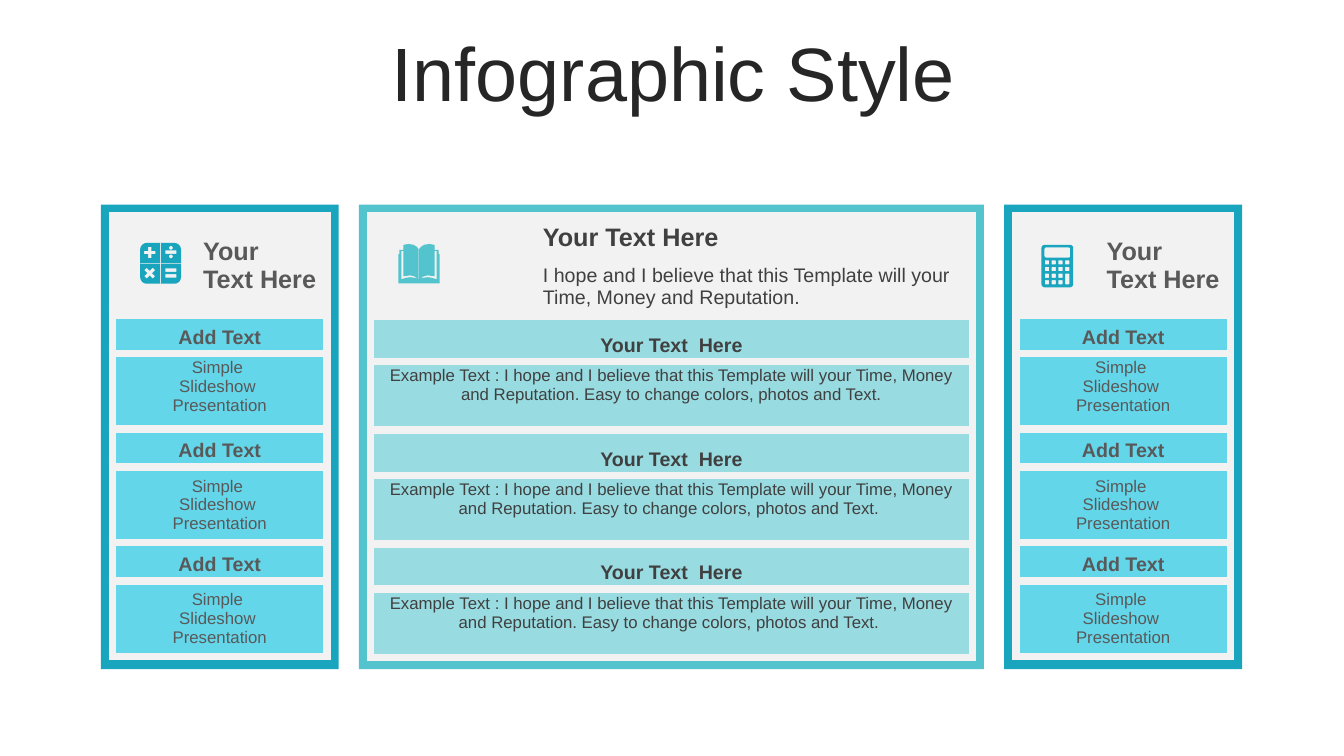
from math import cos, pi, radians, sin

from lxml import etree
from pptx import Presentation
from pptx.dml.color import RGBColor
from pptx.enum.shapes import MSO_SHAPE
from pptx.enum.text import MSO_ANCHOR, PP_ALIGN
from pptx.oxml.ns import qn
from pptx.util import Inches, Pt

RECTANGLE = MSO_SHAPE.RECTANGLE
TOP, MIDDLE, BOTTOM = MSO_ANCHOR.TOP, MSO_ANCHOR.MIDDLE, MSO_ANCHOR.BOTTOM
LEFT, CENTER = PP_ALIGN.LEFT, PP_ALIGN.CENTER
FONT = "Arial"
COLORS = {
    "title": "262626", "teal": "19A5BE", "aqua": "53C3CD", "side": "63D6EA",
    "middle": "98DBE1", "gray": "F2F2F2", "side_text": "595959", "middle_text": "404040",
}
NO_TABLE_STYLE = "{2D5ABB26-0587-4C30-8999-92F81FD0307C}"
PANEL_TOP, PANEL_HEIGHT, PANEL_GAP, INSET = 2.03, 4.61, 0.2, 0.115
SIDE_WIDTH, MIDDLE_WIDTH, FIRST_LEFT = 2.36, 6.2, 1.0
EXAMPLE = ("Example Text : I hope and I believe that this Template will your Time, "
           "Money and Reputation. Easy to change colors, photos and Text.")


def color(name):
    """Return the named palette colour."""
    return RGBColor.from_string(COLORS[name])


def write(holder, lines, size, bold, color_name, align):
    """Fill a text frame with one formatted paragraph per line."""
    holder.text = "\n".join(lines)
    for paragraph in holder.paragraphs:
        paragraph.alignment = align
        for run in paragraph.runs:
            run.font.name, run.font.size, run.font.bold = FONT, Pt(size), bold
            run.font.color.rgb = color(color_name)


def style_cell(cell, fill, sides):
    """Give a cell its fill and thick pale borders on the given sides."""
    properties = cell._tc.get_or_add_tcPr()
    for side in sides:
        line = etree.SubElement(properties, qn("a:ln" + side), w=str(Pt(6)))
        solid = etree.SubElement(line, qn("a:solidFill"))
        etree.SubElement(solid, qn("a:srgbClr"), val=COLORS["gray"])
    cell.fill.solid()
    cell.fill.fore_color.rgb = color(fill)


def add_panel(slide, box, design, header, sections):
    """Draw a framed table with a header block and titled sections."""
    left, top, width, height = box
    frame = slide.shapes.add_shape(RECTANGLE, *map(Inches, box))
    frame.shadow.inherit = False
    frame.fill.solid()
    frame.fill.fore_color.rgb = color(design["frame"])
    frame.line.fill.background()

    heights = design["header_rows"] + design["section_rows"] * len(sections)
    table = slide.shapes.add_table(
        len(heights), 2, Inches(left + INSET), Inches(top + INSET),
        Inches(width - 2 * INSET), Inches(sum(heights))).table
    table.first_row = table.horz_banding = False
    table._tbl.tblPr.find(qn("a:tableStyleId")).text = NO_TABLE_STYLE
    for row, row_height in zip(table.rows, heights):
        row.height = Inches(row_height)
    table.columns[0].width = Inches(design["icon_column"])
    table.columns[1].width = Inches(width - 2 * INSET - design["icon_column"])

    first_section = len(header)
    for index, (lines, size, bold, anchor) in enumerate(header):
        for column in range(2):
            style_cell(table.cell(index, column), "gray", "LRTB")
        cell = table.cell(index, 1)
        write(cell.text_frame, lines, size, bold, design["text"], LEFT)
        cell.vertical_anchor = anchor
    if first_section > 1:
        table.cell(0, 0).merge(table.cell(first_section - 1, 0))

    for number, (heading, body, body_anchor) in enumerate(sections):
        parts = [([heading], 14, True, BOTTOM, "LRT"), (body, 12, False, body_anchor, "LRB")]
        for offset, (lines, size, bold, anchor, sides) in enumerate(parts):
            row = first_section + 2 * number + offset
            cell = table.cell(row, 0)
            cell.merge(table.cell(row, 1))
            for column in range(2):
                style_cell(table.cell(row, column), design["fill"], sides)
            write(cell.text_frame, lines, size, bold, design["text"], CENTER)
            cell.vertical_anchor = anchor


def rounded(x, y, width, height, radius=0.0):
    """Return the outline of a rectangle with rounded corners."""
    corners = [(x + width - radius, y + height - radius), (x + radius, y + height - radius),
               (x + radius, y + radius), (x + width - radius, y + radius)]
    return [(cx + radius * cos(pi / 2 * (quarter + step / 4)),
             cy + radius * sin(pi / 2 * (quarter + step / 4)))
            for quarter, (cx, cy) in enumerate(corners) for step in range(5)]


def plus(cx, cy, reach, arm, angle=0):
    """Return the outline of a plus sign turned by an angle."""
    points = []
    for quarter in range(4):
        turn = radians(angle + 90 * quarter)
        for x, y in [(reach, -arm), (reach, arm), (arm, arm)]:
            points.append((cx + x * cos(turn) - y * sin(turn),
                           cy + x * sin(turn) + y * cos(turn)))
    return points


def add_icon(slide, left, top, contours, color_name):
    """Draw outlines, in hundredths of an inch, as one filled shape."""
    outlines = [[(left * 1000 + 10 * x, top * 1000 + 10 * y) for x, y in contour]
                for contour in contours]
    builder = slide.shapes.build_freeform(*outlines[0][0], scale=Inches(1) / 1000)
    for index, points in enumerate(outlines):
        if index:
            builder.move_to(*points[0])
        builder.add_line_segments(points[1:], close=True)
    icon = builder.convert_to_shape()
    icon.shadow.inherit = False
    icon.fill.solid()
    icon.fill.fore_color.rgb = color(color_name)
    icon.line.fill.background()


def calculator_contours():
    """Return the body, screen and keys of the calculator."""
    keys = [rounded(3.3 + 6.7 * column, 15.2 + 6.6 * row, 4.3,
                    10.8 if (column, row) == (3, 2) else 4.2, 0.6)
            for column in range(4) for row in range(4) if (column, row) != (3, 3)]
    return [rounded(0, 0, 31.5, 42, 3), rounded(3, 2.5, 25.5, 10, 1.5)] + keys


def operations_contours():
    """Return the four-operation tile with its signs cut out."""
    bars = [rounded(25, y, 11, 3.5) for y in (7.5, 25.2, 31)]
    dots = [rounded(28.6, y, 3.8, 3.8, 1.9) for y in (3, 11.5)]
    signs = [plus(9.5, 9.5, 5.5, 1.7), plus(9.5, 30, 6, 1.7, 45)]
    return [rounded(0, 0, 40.5, 40.5, 6.5), plus(20.25, 20.25, 20.25, 0.4)] + bars + dots + signs


def book_contours():
    """Return the open book, its left half mirrored from the right."""
    right = [(20.8, 35), (24, 33.7), (29, 33), (33, 33.5), (38, 35), (38, 7), (36, 7),
             (36, 32), (29, 31.2), (25, 32.2), (20.8, 35), (20.8, 5), (23, 2.5), (26, 0.8),
             (31, 0), (36, 1), (36, 6), (40, 6), (40, 10), (41, 10), (41, 39)]
    return [right + [(41 - x, y) for x, y in reversed(right)]]


def add_title(slide, box):
    """Place the slide title."""
    frame = slide.shapes.add_textbox(*map(Inches, box)).text_frame
    frame.word_wrap = True
    frame.vertical_anchor = MIDDLE
    write(frame, ["Infographic Style"], 54, False, "title", CENTER)
    frame.paragraphs[0].line_spacing = 0.9


def main():
    """Build and save the slide."""
    presentation = Presentation()
    presentation.slide_width, presentation.slide_height = Inches(13.33), Inches(7.5)
    slide = presentation.slides.add_slide(presentation.slide_layouts[6])
    add_title(slide, (0.35, 0.37, 12.66, 0.79))

    side = {"frame": "teal", "fill": "side", "text": "side_text", "icon_column": 0.8,
            "header_rows": [0.98], "section_rows": [0.38, 0.75]}
    middle = {"frame": "aqua", "fill": "middle", "text": "middle_text", "icon_column": 1.61,
              "header_rows": [0.4, 0.59], "section_rows": [0.45, 0.68]}
    side_header = [(["Your", "Text Here"], 18, True, MIDDLE)]
    side_sections = [("Add Text", ["Simple ", "Slideshow ", "Presentation"], anchor)
                     for anchor in (TOP, MIDDLE, MIDDLE)]
    middle_header = [
        (["Your Text Here"], 18, True, BOTTOM),
        (["I hope and I believe that this Template will your Time, Money and Reputation."],
         14, False, MIDDLE)]
    middle_sections = [("Your Text  Here", [EXAMPLE + ending], TOP) for ending in ("", " ", " ")]

    panels = [
        (SIDE_WIDTH, side, side_header, side_sections, operations_contours(), 0.39, 0.38),
        (MIDDLE_WIDTH, middle, middle_header, middle_sections, book_contours(), 0.39, 0.39),
        (SIDE_WIDTH, side, side_header, side_sections, calculator_contours(), 0.37, 0.4)]
    left = FIRST_LEFT
    for width, design, header, sections, contours, icon_x, icon_y in panels:
        add_panel(slide, (left, PANEL_TOP, width, PANEL_HEIGHT), design, header, sections)
        add_icon(slide, left + icon_x, PANEL_TOP + icon_y, contours, design["frame"])
        left += width + PANEL_GAP
    presentation.save("out.pptx")


if __name__ == "__main__":
    main()
